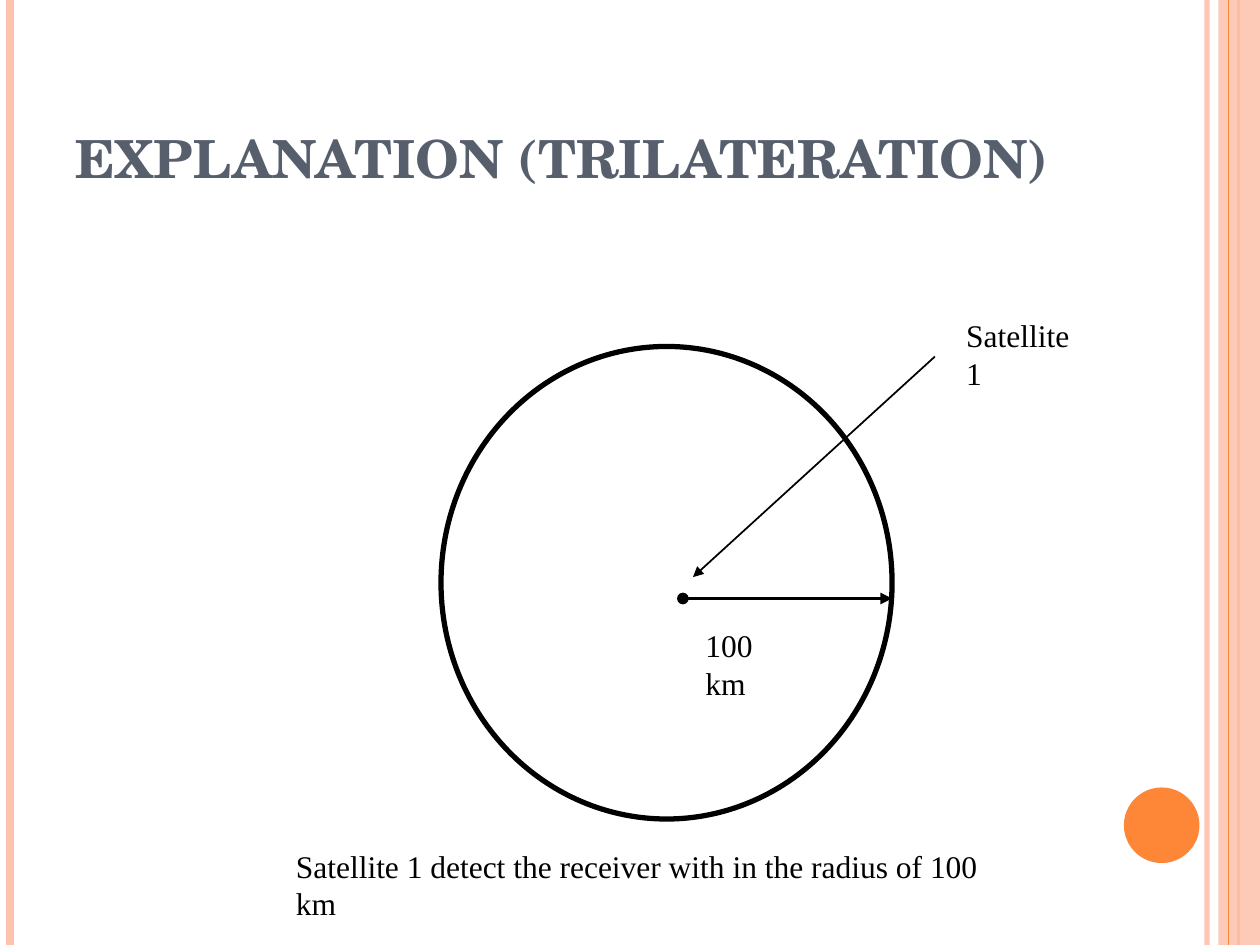
from lxml import etree
from pptx import Presentation
from pptx import util as u
from pptx.dml.color import RGBColor
from pptx.enum import shapes, text
from pptx.oxml import ns

Inches, Pt = u.Inches, u.Pt
PINK, ORANGE, SLATE, BLACK = "FEC3AE", "FE8637", "575F6D", "000000"


def color(hex_code):
    return RGBColor.from_string(hex_code)


def set_alpha(fill_parent, percent):
    """Make the solid fill inside an element partly transparent."""
    tone = fill_parent.find(".//" + ns.qn("a:srgbClr"))
    etree.SubElement(tone, ns.qn("a:alpha")).set("val", str(percent * 1000))


def add_line(page, start, end, hex_code, width, head=None, tail=None, alpha=None):
    points = [Inches(value) for value in (*start, *end)]
    line = page.shapes.add_connector(shapes.MSO_CONNECTOR.STRAIGHT, *points)
    line.line.color.rgb = color(hex_code)
    line.line.width = Pt(width)
    outline = line.line._get_or_add_ln()
    if alpha:
        set_alpha(outline, alpha)
    for tag, kind in (("a:headEnd", head), ("a:tailEnd", tail)):
        if kind:
            etree.SubElement(outline, ns.qn(tag)).set("type", kind)
    etree.SubElement(line._element.spPr, ns.qn("a:effectLst"))
    return line


def add_figure(page, kind, box, fill=None, outline=None, width=0):
    figure = page.shapes.add_shape(kind, *[Inches(value) for value in box])
    figure.shadow.inherit = False
    if fill:
        figure.fill.solid()
        figure.fill.fore_color.rgb = color(fill)
    else:
        figure.fill.background()
    if outline:
        figure.line.color.rgb = color(outline)
        figure.line.width = Pt(width)
    else:
        figure.line.fill.background()
    return figure


def add_span(para, words, font, size, hex_code, bold=False):
    span = para.add_run()
    span.text = words
    span.font.name = font
    span.font.size = Pt(size)
    span.font.bold = bold
    span.font.color.rgb = color(hex_code)


def add_label(page, box, words):
    label = page.shapes.add_textbox(*[Inches(value) for value in box])
    frame = label.text_frame
    frame.word_wrap = False
    frame.auto_size = text.MSO_AUTO_SIZE.SHAPE_TO_FIT_TEXT
    add_span(frame.paragraphs[0], words, "Times New Roman", 18, BLACK)


def add_decoration(page, width, height):
    """Stripes down both edges and the disc at lower right."""
    def stripe(x, hex_code, weight, alpha=None):
        add_line(page, (x, 0), (x, height), hex_code, weight, alpha=alpha)

    stripe(width - 0.42, PINK, 3, alpha=93)
    stripe(0.08, PINK, 4.5)
    stripe(width - 0.17, ORANGE, 1.5)
    band = add_figure(page, shapes.MSO_SHAPE.RECTANGLE,
                      (width - 0.33, 0, 0.33, height), fill=PINK)
    set_alpha(band._element.spPr, 87)
    stripe(width - 0.25, ORANGE, 0.75)
    add_figure(page, shapes.MSO_SHAPE.OVAL, (8.92, 6.25, 0.6, 0.6), fill=ORANGE)


def add_title(page, box, words):
    title = page.shapes.title
    title.left, title.top, title.width, title.height = [Inches(value) for value in box]
    frame = title.text_frame
    frame.word_wrap = True
    frame.auto_size = text.MSO_AUTO_SIZE.NONE
    frame.vertical_anchor = text.MSO_ANCHOR.BOTTOM
    para = frame.paragraphs[0]
    para.alignment = text.PP_ALIGN.LEFT
    add_span(para, words, "TeX Gyre Schola", 30, SLATE, bold=True)


def add_range_diagram(page, box):
    """Range circle with its radius, satellite pointer and labels."""
    left, top, width, height = box
    right = left + width
    add_figure(page, shapes.MSO_SHAPE.OVAL, box, outline=BLACK, width=3)

    # Radius, then pointer to the satellite
    center_x, center_y = left + 1.92, top + 2
    add_line(page, (center_x, center_y), (right, center_y), BLACK, 2.25,
             head="oval", tail="triangle")
    add_line(page, (right + 0.34, top + 0.08), (center_x + 0.08, center_y - 0.17),
             BLACK, 1, tail="triangle")

    # Labels and caption
    add_label(page, (right + 0.49, top - 0.29, 1.2, 0.4), "Satellite 1")
    add_label(page, (center_x + 0.08, center_y + 0.17, 0.95, 0.4), "100 km")
    add_label(page, (left - 1.25, top + height + 0.17, 5.99, 0.4),
              "Satellite 1 detect the receiver with in the radius of 100 km")


def main():
    deck = Presentation()
    deck.slide_width, deck.slide_height = Inches(10), Inches(7.5)
    page = deck.slides.add_slide(deck.slide_layouts.get_by_name("Title Only"))
    add_decoration(page, 10, 7.5)
    add_title(page, (0.5, 0.3, 8.17, 1.25), "EXPLANATION (TRILATERATION)")
    add_range_diagram(page, (3.5, 2.75, 3.58, 3.75))
    deck.save("out.pptx")


if __name__ == "__main__":
    main()
